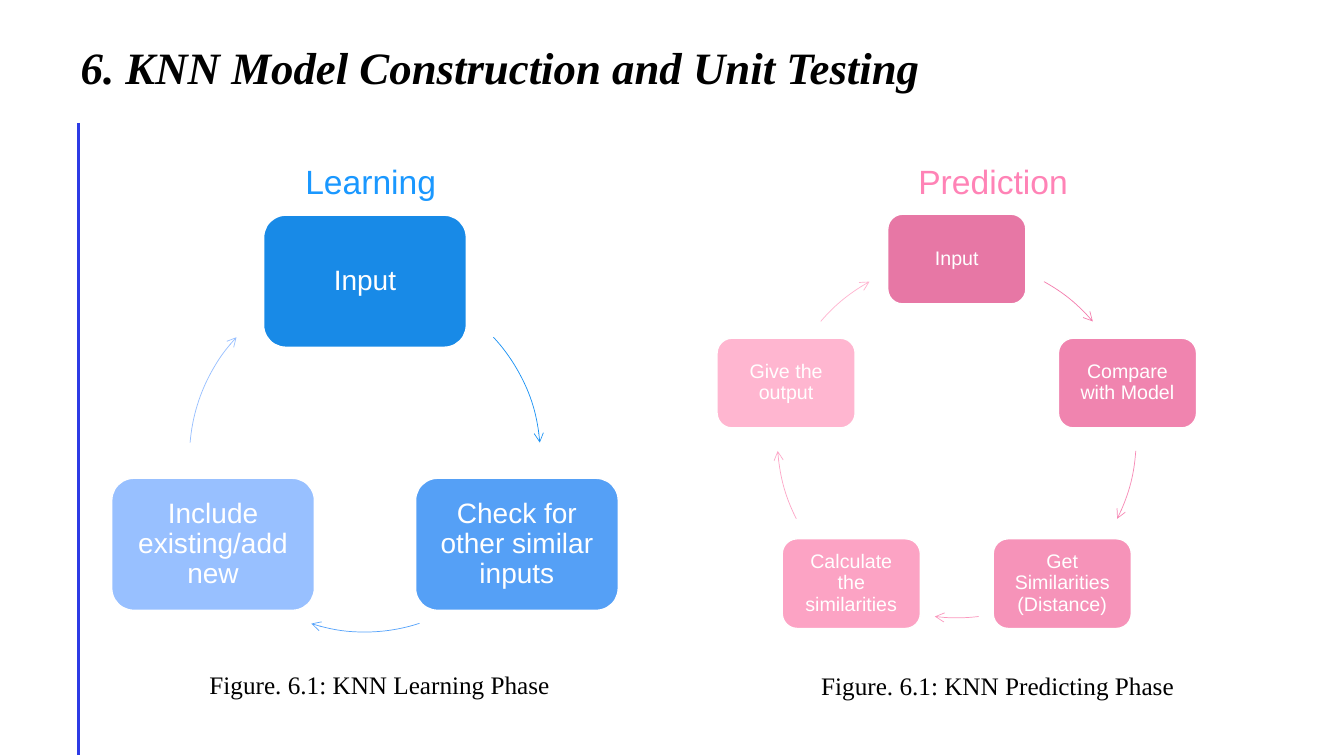
from math import cos, radians, sin

from lxml import etree
from pptx import Presentation
from pptx.dml.color import RGBColor
from pptx.enum.shapes import MSO_CONNECTOR, MSO_SHAPE
from pptx.enum.text import MSO_ANCHOR, PP_ALIGN
from pptx.oxml.ns import qn
from pptx.util import Inches, Pt

LEFT, CENTER = PP_ALIGN.LEFT, PP_ALIGN.CENTER
MIDDLE = MSO_ANCHOR.MIDDLE
ROUNDED, ARC = MSO_SHAPE.ROUNDED_RECTANGLE, MSO_SHAPE.ARC
STRAIGHT = MSO_CONNECTOR.STRAIGHT
SANS, SERIF = "Arial", "Times New Roman"
TITLE_ONLY = 5

COLORS = {
    "black": "000000",
    "white": "FFFFFF",
    "rule": "2D3BE5",
    "learning": "1A98FF",
    "prediction": "FF83B6",
}

# Each step: wording, box colour, arrow colour, arrow start and end in degrees
LEARNING_STEPS = [
    ("Input", "188AE7", "1991F4", -42.9, -4.6),
    ("Check for other similar inputs", "55A0F6", "56A3FB", 71.9, 107.8),
    ("Include existing/add new", "98C0FF", "97BFFF", 184.6, 222.9),
]
PREDICTION_STEPS = [
    ("Input", "E777A5", "F47DAE", -60.9, -40.7),
    ("Compare with Model", "F084AF", "F78AB6", 4, 26.6),
    ("Get Similarities (Distance)", "F693B9", "FB98BE", 83, 97),
    ("Calculate the similarities", "FCA3C4", "FDA6C7", 153.4, 176),
    ("Give the output", "FFB6D0", "FFB5D0", 220.7, 240.9),
]


def rgb(value):
    return RGBColor.from_string(value)


def write(shape, wording, font, size, color, align=LEFT, spacing=1.0):
    """Put one formatted paragraph into a shape."""
    frame = shape.text_frame
    frame.word_wrap = True
    frame.text = wording
    paragraph = frame.paragraphs[0]
    paragraph.alignment = align
    paragraph.line_spacing = spacing
    run = paragraph.runs[0]
    run.font.name = font
    run.font.size = Pt(size)
    run.font.color.rgb = rgb(color)
    return run


def add_title(slide, wording):
    title = slide.shapes.title
    title.left, title.top = Inches(0.7), Inches(0)
    title.width, title.height = Inches(10.21), Inches(1.38)
    run = write(title, wording, SERIF, 32, COLORS["black"], spacing=0.9)
    run.font.bold = run.font.italic = True
    title.text_frame.vertical_anchor = MIDDLE


def add_rule(slide):
    rule = slide.shapes.add_connector(
        STRAIGHT, Inches(0.78), Inches(1.22), Inches(0.78), Inches(7.49))
    rule.line.color.rgb = rgb(COLORS["rule"])
    rule.line.width = Pt(2)
    etree.SubElement(rule.line._get_or_add_ln().getparent(), qn("a:effectLst"))


def add_label(slide, wording, left, top, width, height, font, size, color, align=LEFT):
    label = slide.shapes.add_textbox(
        Inches(left), Inches(top), Inches(width), Inches(height))
    write(label, wording, font, size, color, align)


def add_step(group, wording, x, y, width, height, color, size, inset):
    """Add a rounded box centred on (x, y)."""
    box = group.shapes.add_shape(
        ROUNDED, Inches(x - width / 2), Inches(y - height / 2),
        Inches(width), Inches(height))
    box.shadow.inherit = False
    box.fill.solid()
    box.fill.fore_color.rgb = rgb(color)
    box.line.color.rgb = rgb(COLORS["white"])
    box.line.width = Pt(1)
    write(box, wording, SANS, size, COLORS["white"], CENTER, 0.9)
    frame = box.text_frame
    frame.vertical_anchor = MIDDLE
    frame.margin_left = frame.margin_right = Inches(inset)
    frame.margin_top = frame.margin_bottom = Inches(inset)


def add_arc_arrow(group, x, y, radius, start, end, color):
    """Add an arrow along the circle around (x, y), clockwise from start to end."""
    arc = group.shapes.add_shape(
        ARC, Inches(x - radius), Inches(y - radius),
        Inches(2 * radius), Inches(2 * radius))
    # Angles are stored in 1/60000 degree, adjustments in 1/100000
    for index, angle in enumerate((start, end)):
        arc.adjustments[index] = angle % 360 * 0.6
    arc.shadow.inherit = False
    arc.fill.background()
    arc.line.color.rgb = rgb(color)
    arc.line.width = Pt(0.5)
    etree.SubElement(arc.line._get_or_add_ln(), qn("a:tailEnd"), type="arrow")


def add_cycle(slide, steps, x, y, radius, width, height, size, inset):
    """Spread the steps evenly around a circle, starting at the top."""
    group = slide.shapes.add_group_shape()
    for index, (wording, fill, arrow, start, end) in enumerate(steps):
        angle = radians(360 * index / len(steps) - 90)
        add_step(group, wording, x + radius * cos(angle), y + radius * sin(angle),
                 width, height, fill, size, inset)
        add_arc_arrow(group, x, y, radius, start, end, arrow)


def main():
    deck = Presentation()
    deck.slide_width, deck.slide_height = Inches(13.33), Inches(7.5)
    slide = deck.slides.add_slide(deck.slide_layouts[TITLE_ONLY])

    add_rule(slide)
    add_title(slide, "6. KNN Model Construction and Unit Testing")
    add_cycle(slide, PREDICTION_STEPS, 9.49, 4.35, 1.78, 1.37, 0.89, 14, 0.1)
    add_cycle(slide, LEARNING_STEPS, 3.62, 4.53, 1.74, 2.01, 1.31, 20, 0.14)
    add_label(slide, "Learning", 2.93, 1.55, 1.76, 0.5, SANS, 24, COLORS["learning"])
    add_label(slide, "Prediction", 9.01, 1.55, 1.81, 0.5, SANS, 24, COLORS["prediction"])
    add_label(slide, "Figure. 6.1: KNN Learning Phase", 0.7, 6.59, 6.13, 0.4,
              SERIF, 18, COLORS["black"], CENTER)
    add_label(slide, "Figure. 6.1: KNN Predicting Phase", 6.83, 6.6, 6.13, 0.4,
              SERIF, 18, COLORS["black"], CENTER)

    deck.save("out.pptx")


if __name__ == "__main__":
    main()
